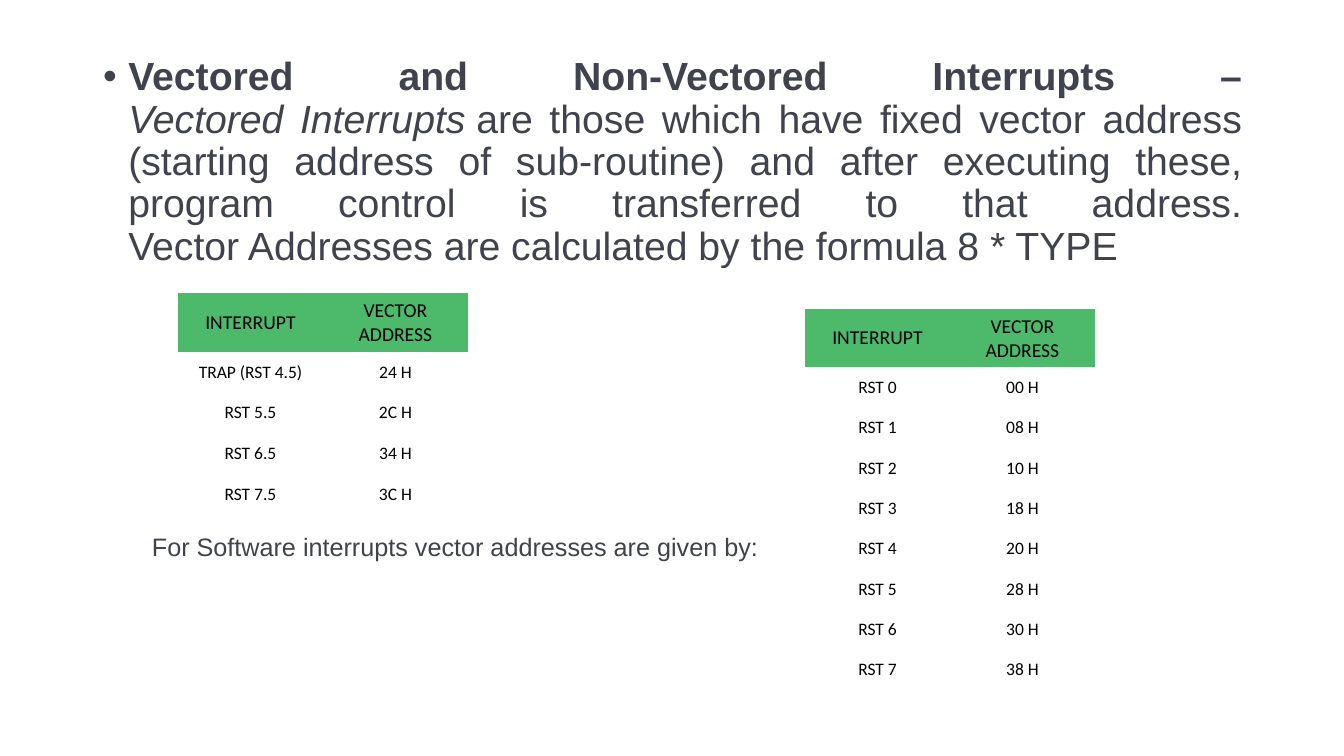
from dataclasses import dataclass

from pptx import Presentation
from pptx.dml.color import RGBColor
from pptx.enum.text import MSO_ANCHOR, MSO_AUTO_SIZE, PP_ALIGN
from pptx.oxml.ns import qn
from pptx.util import Emu, Pt

COLORS = {"ink": "40424E", "head": "4CB96B", "cell": "FFFFFF", "text": "000000"}
PLAIN_GRID = "{2D5ABB26-0587-4C30-8999-92F81FD0307C}"  # no style, no grid
COL_W, HEAD_H, ROW_H = 145, 58, 40
HEADER = ("INTERRUPT", "VECTOR ADDRESS")


@dataclass(frozen=True)
class Grid:
    """A table of interrupts and their vector addresses."""
    left: int
    top: int
    names: tuple[str, ...]
    first: int
    step: int


@dataclass(frozen=True)
class Look:
    """The style of one kind of table cell."""
    fill: str
    size: float
    side: float
    edge: float


HEAD = Look("head", 14, 4, 4)
BODY = Look("cell", 12.5, 5, 6.9)

GRIDS = (
    Grid(178, 293, ("TRAP (RST 4.5)", "RST 5.5", "RST 6.5", "RST 7.5"), 0x24, 8),
    Grid(805, 309, tuple(f"RST {n}" for n in range(8)), 0x00, 8),
)


def px(count: int) -> Emu:
    """Turn pixels into EMU."""
    return Emu(round(count * 914400 / 100.8))


def color(key: str) -> RGBColor:
    """Look up a colour by name."""
    return RGBColor.from_string(COLORS[key])


def set_font(font, name: str, size: float, key: str) -> None:
    """Set the face, size and colour of a font."""
    font.name, font.size = name, Pt(size)
    font.color.rgb = color(key)


def place(shape, left: int, top: int, width: int, height: int) -> None:
    """Move and size a shape."""
    shape.left, shape.top = px(left), px(top)
    shape.width, shape.height = px(width), px(height)


def fill_cell(cell, text: str, look: Look) -> None:
    """Write and style one table cell."""
    cell.text = text
    cell.fill.solid()
    cell.fill.fore_color.rgb = color(look.fill)
    cell.vertical_anchor = MSO_ANCHOR.MIDDLE
    cell.margin_left = cell.margin_right = Pt(look.side)
    cell.margin_top = cell.margin_bottom = Pt(look.edge)
    para = cell.text_frame.paragraphs[0]
    para.alignment = PP_ALIGN.CENTER
    set_font(para.font, "Calibri", look.size, "text")


def draw_grid(slide, grid: Grid) -> None:
    """Draw one table of vector addresses."""
    rows = [HEADER] + [
        (name, f"{grid.first + grid.step * i:02X} H")
        for i, name in enumerate(grid.names)
    ]
    height = HEAD_H + ROW_H * len(grid.names)
    table = slide.shapes.add_table(
        len(rows), 2, px(grid.left), px(grid.top), px(2 * COL_W), px(height)
    ).table
    table.horz_banding = False
    table._tbl.tblPr.find(qn("a:tableStyleId")).text = PLAIN_GRID
    for r, row in enumerate(rows):
        table.rows[r].height = px(ROW_H if r else HEAD_H)
        for c, text in enumerate(row):
            fill_cell(table.cell(r, c), text, BODY if r else HEAD)


def add_run(para, text: str, bold: bool = False, italic: bool = False) -> None:
    """Add a run with its weight and slant."""
    run = para.add_run()
    run.text = text
    run.font.bold, run.font.italic = bold, italic


def draw_body(shape) -> None:
    """Write the bullet on vectored interrupts."""
    place(shape, 93, 52, 1159, 629)
    frame = shape.text_frame
    frame.auto_size = MSO_AUTO_SIZE.NONE
    para = frame.paragraphs[0]
    para.alignment = PP_ALIGN.JUSTIFY
    para.line_spacing, para.space_before = 0.9, Pt(10)
    set_font(para.font, "Arial", 28, "ink")
    props = para._p.get_or_add_pPr()
    props.set("marL", "228600")
    props.set("indent", "-228600")
    add_run(para, "Vectored and Non-Vectored Interrupts –", bold=True)
    para.add_line_break()
    add_run(para, "Vectored Interrupts", italic=True)
    add_run(para, "\u00a0are those which have fixed vector address (starting "
                  "address of sub-routine) and after executing these, program "
                  "control is transferred to that address.")
    para.add_line_break()
    add_run(para, "Vector Addresses are calculated by the formula 8 * TYPE")


def draw_note(slide) -> None:
    """Write the line that leads to the software interrupts."""
    box = slide.shapes.add_textbox(px(142), px(526), px(672), px(72))
    box.text_frame.word_wrap = True
    para = box.text_frame.paragraphs[0]
    para.text = "For Software interrupts vector addresses are given by:"
    set_font(para.font, "Arial", 18, "ink")


deck = Presentation()
deck.slide_width, deck.slide_height = px(1344), px(756)
slide = deck.slides.add_slide(deck.slide_layouts[1])
title = slide.shapes.title
title.element.getparent().remove(title.element)
draw_body(slide.placeholders[1])
hard, soft = GRIDS
draw_grid(slide, hard)
draw_note(slide)
draw_grid(slide, soft)
deck.save("out.pptx")
